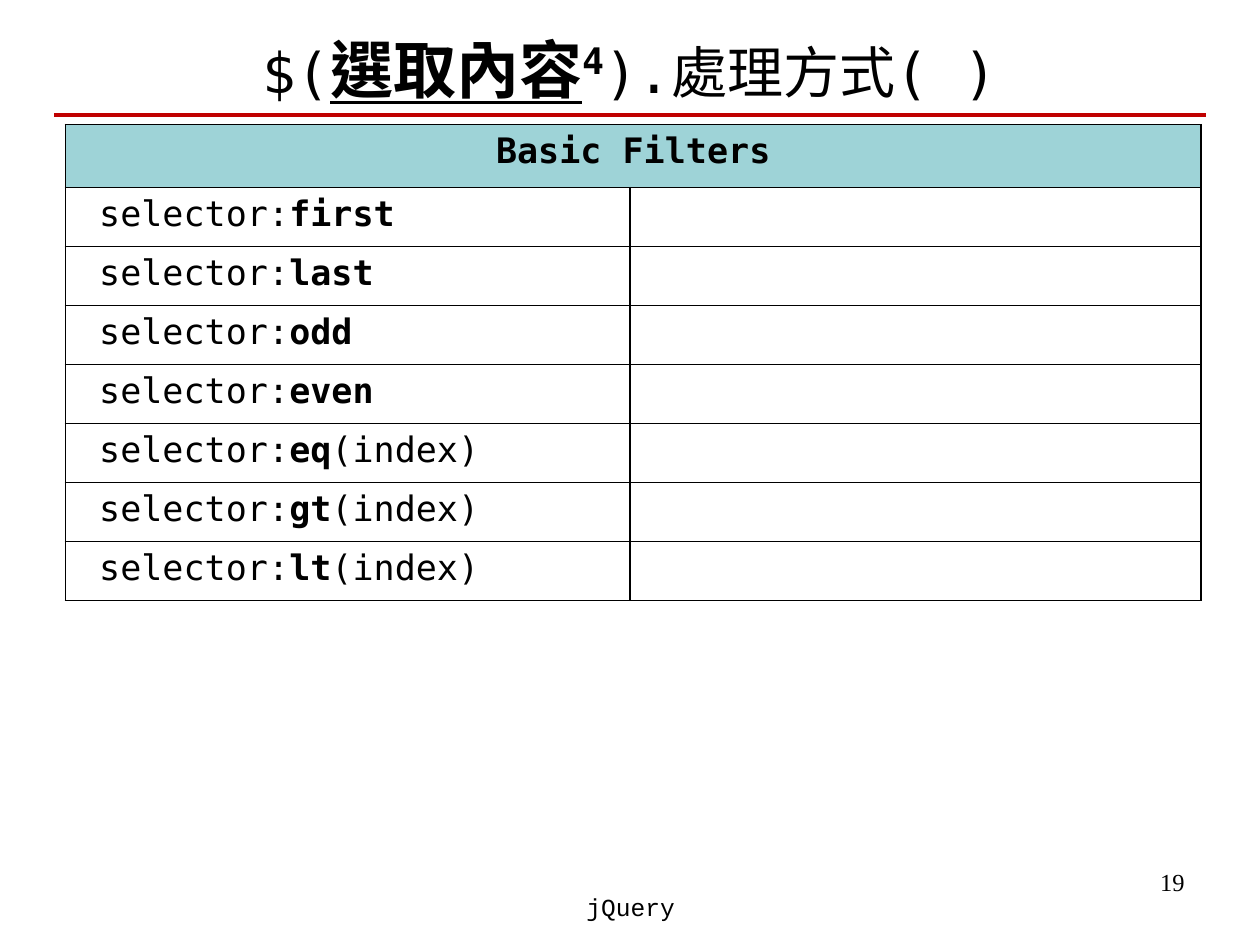
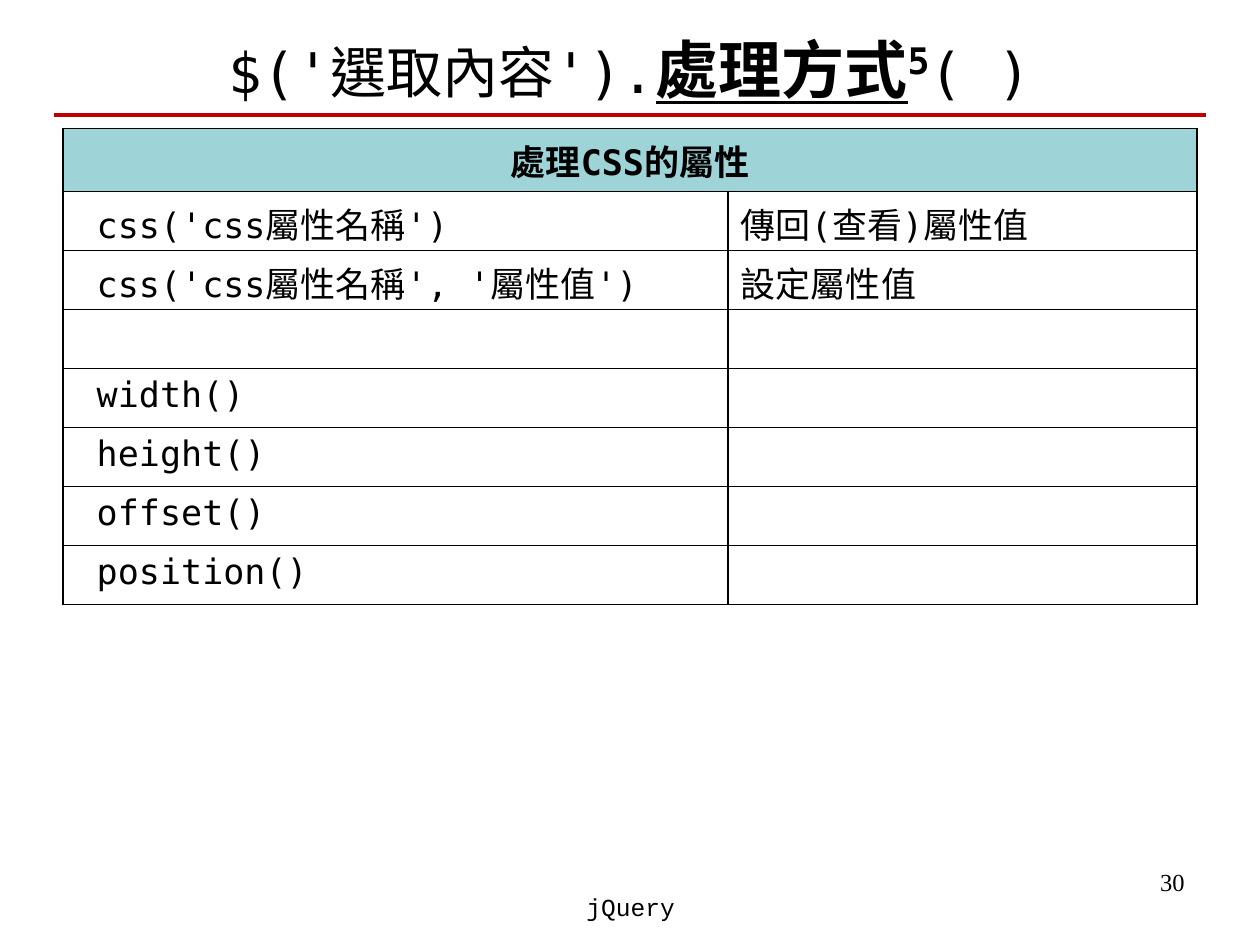
"""Build two jQuery reference slides, each with a title and a table."""

from lxml import etree
from pptx import Presentation
from pptx.dml.color import RGBColor
from pptx.enum import lang, shapes, text
from pptx.oxml import ns
from pptx.util import Cm, Pt

BLACK = RGBColor(0x00, 0x00, 0x00)
RED = RGBColor(0xC0, 0x00, 0x00)
TEAL = RGBColor(0x9E, 0xD3, 0xD7)

CODE = {"name": "DejaVu Sans Mono", "language_id": lang.MSO_LANGUAGE_ID.TRADITIONAL_CHINESE}
TITLE = {**CODE, "size": Pt(32), "bold": False}
FOCUS = {**CODE, "size": Pt(36), "bold": True, "underline": True}
NOTE = {**FOCUS, "underline": False}
CELL = {**CODE, "size": Pt(20), "bold": False}
STRONG = {**CELL, "bold": True}
NUMBER = {"name": "Times New Roman", "size": Pt(14)}
FOOTER = {"name": "Courier New", "size": Pt(14)}

HEADER_HEIGHT = Cm(1.27)
ROW_HEIGHT = Cm(1.19)
CODE_INDENT = Cm(0.68)

FILTERS = [("first", ""), ("last", ""), ("odd", ""), ("even", ""),
           ("eq", "(index)"), ("gt", "(index)"), ("lt", "(index)")]
CSS_METHODS = [("css('css屬性名稱')", "傳回(查看)屬性值"),
               ("css('css屬性名稱', '屬性值')", "設定屬性值"),
               ("", ""), ("width()", ""), ("height()", ""),
               ("offset()", ""), ("position()", "")]


def add_runs(paragraph, runs, alignment=text.PP_ALIGN.LEFT):
    """Add (words, format) runs to a paragraph, skipping empty words."""
    paragraph.alignment = alignment
    for words, style in runs:
        if not words:
            continue
        run = paragraph.add_run()
        run.text = words
        for name, value in style.items():
            setattr(run.font, name, value)
        run.font.color.rgb = BLACK
        if style is NOTE:
            run.font._element.set("baseline", "30000")


def add_title(slide, runs):
    """Place and fill the title placeholder."""
    title = slide.shapes.title
    place = {"left": Cm(1.27), "top": Cm(0.41), "width": Cm(22.86), "height": Cm(1.93)}
    for name, value in place.items():
        setattr(title, name, value)
    title.text_frame.auto_size = text.MSO_AUTO_SIZE.NONE
    title.text_frame.vertical_anchor = text.MSO_ANCHOR.MIDDLE
    add_runs(title.text_frame.paragraphs[0], runs, text.PP_ALIGN.CENTER)


def add_rule(slide):
    """Draw the red rule under the title."""
    rule = slide.shapes.add_connector(
        shapes.MSO_CONNECTOR.STRAIGHT, Cm(1.09), Cm(2.31), Cm(24.31), Cm(2.31))
    rule.line.color.rgb = RED
    rule.line.width = Pt(2.25)
    etree.SubElement(rule._element.spPr, ns.qn("a:effectLst"))


def add_label(slide, place, words, style, alignment):
    """Add a one-line text box."""
    frame = slide.shapes.add_textbox(*place).text_frame
    frame.word_wrap = True
    add_runs(frame.paragraphs[0], [(words, style)], alignment)


def add_borders(cell):
    """Give a cell thin black lines on all four sides."""
    properties = cell._tc.get_or_add_tcPr()
    for index, side in enumerate(("a:lnL", "a:lnR", "a:lnT", "a:lnB")):
        line = etree.Element(ns.qn(side), w=str(Pt(1)))
        fill = etree.SubElement(line, ns.qn("a:solidFill"))
        etree.SubElement(fill, ns.qn("a:srgbClr"), val=str(BLACK))
        properties.insert(index, line)


def add_reference_table(slide, left, top, widths, heading, rows):
    """Add a table with a merged heading over rows of (code runs, meaning runs)."""
    height = HEADER_HEIGHT + ROW_HEIGHT * len(rows)
    table = slide.shapes.add_table(
        len(rows) + 1, len(widths), left, top, sum(widths), height).table
    for column, width in zip(table.columns, widths):
        column.width = width
    for index, row in enumerate(table.rows):
        row.height = ROW_HEIGHT if index else HEADER_HEIGHT
        for cell in row.cells:
            if index:
                cell.fill.background()
            else:
                cell.fill.solid()
                cell.fill.fore_color.rgb = TEAL
            add_borders(cell)

    table.cell(0, 0).merge(table.cell(0, 1))
    add_runs(table.cell(0, 0).text_frame.paragraphs[0],
             [(heading, STRONG)], text.PP_ALIGN.CENTER)
    for index, row in enumerate(rows, start=1):
        table.cell(index, 0).margin_left = CODE_INDENT
        for column, runs in enumerate(row):
            add_runs(table.cell(index, column).text_frame.paragraphs[0], runs)


def add_slide(presentation, number, title_runs):
    """Add a slide with the shared title, rule, footer and number."""
    slide = presentation.slides.add_slide(presentation.slide_layouts[5])
    add_label(slide, (Cm(18.21), Cm(17.35), Cm(5.92), Cm(1.32)),
              str(number), NUMBER, text.PP_ALIGN.RIGHT)
    add_title(slide, title_runs)
    add_rule(slide)
    add_label(slide, (Cm(8.69), Cm(17.86), Cm(8.05), Cm(1.27)),
              "jQuery", FOOTER, text.PP_ALIGN.CENTER)
    return slide


def main():
    """Build and save the presentation."""
    presentation = Presentation()
    presentation.slide_width = Cm(25.4)
    presentation.slide_height = Cm(19.05)

    slide = add_slide(presentation, 19, [
        ("$(", TITLE), ("選取內容", FOCUS), ("4", NOTE), (").處理方式( )", TITLE)])
    rows = [([("selector:", CELL), (name, STRONG), (argument, CELL)], [])
            for name, argument in FILTERS]
    add_reference_table(slide, Cm(1.32), Cm(2.51), (Cm(11.38), Cm(11.51)),
                        "Basic Filters", rows)

    slide = add_slide(presentation, 30, [
        ("$('選取內容').", TITLE), ("處理方式", FOCUS), ("5", NOTE), ("( )", TITLE)])
    rows = [([(code, CELL)], [(meaning, CELL)]) for code, meaning in CSS_METHODS]
    add_reference_table(slide, Cm(1.27), Cm(2.59), (Cm(13.41), Cm(9.45)),
                        "處理CSS的屬性", rows)

    presentation.save("out.pptx")


if __name__ == "__main__":
    main()
